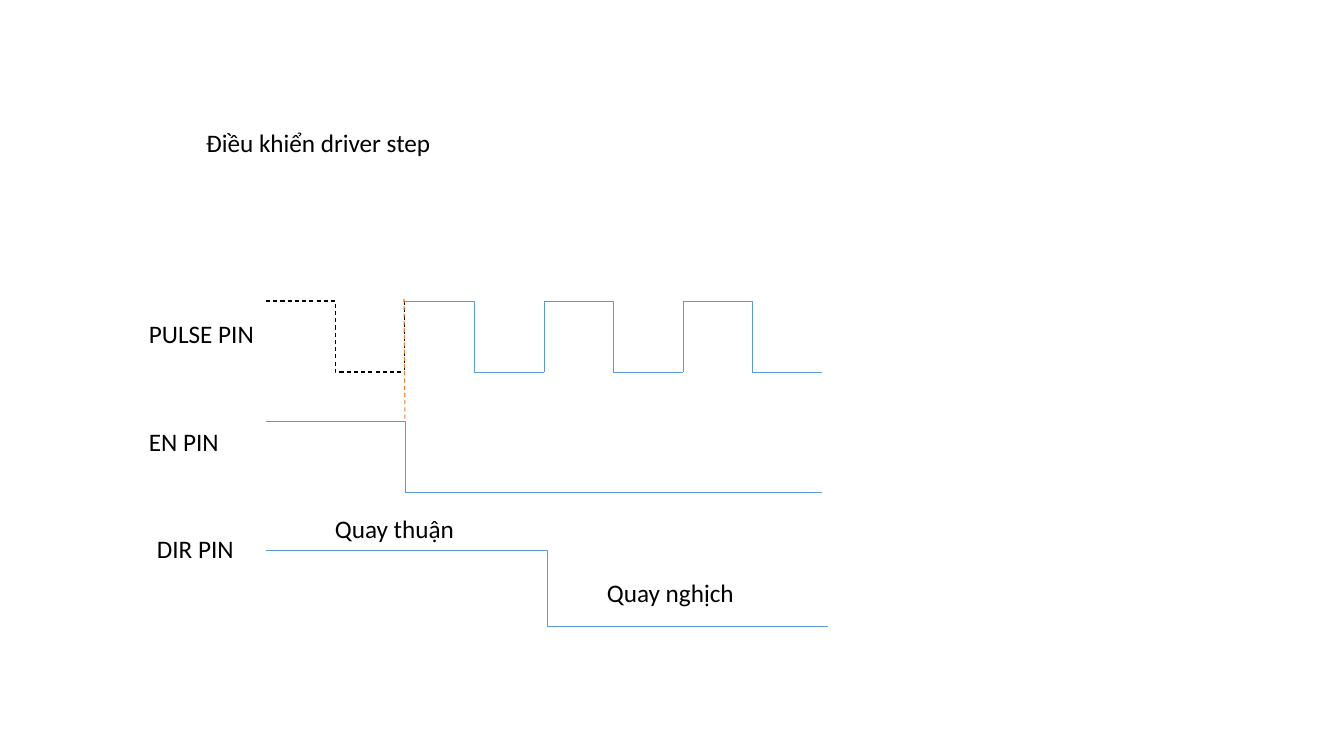
from lxml.etree import SubElement
from pptx import Presentation
from pptx.dml.color import RGBColor
from pptx.enum.dml import MSO_LINE as Dash
from pptx.enum.shapes import MSO_CONNECTOR as Conn
from pptx.enum.text import MSO_ANCHOR as Anchor, MSO_AUTO_SIZE as Fit, PP_ALIGN as Align
from pptx.oxml.ns import qn
from pptx.util import Pt

# Content: text, left, top, width in px
TITLE = ("Điều khiển driver step", 196, 122, 248)
LABELS = [
    ("PULSE PIN", 139, 313, 126),
    ("EN PIN", 139, 421, 91),
    ("DIR PIN", 147, 528, 98),
    ("Quay thuận", 325, 508, 141),
    ("Quay nghịch", 597, 572, 149),
]
TEXT_H = 40
FONT = {"name": "Calibri", "size": Pt(18), "bold": False}
FRAME = {"word_wrap": False, "auto_size": Fit.SHAPE_TO_FIT_TEXT,
         "vertical_anchor": Anchor.TOP}

# Line looks: colour and format values
BLUE = ("5B9BD5", {"width": Pt(0.5)})
IDLE = ("000000", {"width": Pt(0.75), "dash_style": Dash.DASH})
GUIDE = ("ED7D31", {"width": Pt(0.75), "dash_style": Dash.DASH})

# Signal grid in px
LEFT, CYCLE, CYCLES = 266, 139, 4
PULSE, EN, STEP = 301, 421, 71
DIR, DIR_END, DIR_STEP = 550, 828, 76
SCALE = 914400 / 100.8


def px(n):
    return round(n * SCALE)


def rgb(code):
    return RGBColor.from_string(code)


def put(obj, vals):
    for key, val in vals.items():
        setattr(obj, key, val)


def write(box, text, x, y, w):
    put(box, {"left": px(x), "top": px(y), "width": px(w), "height": px(TEXT_H)})
    frame = box.text_frame
    frame.text = text
    put(frame, FRAME)
    para = frame.paragraphs[0]
    put(para, {"alignment": Align.LEFT, "line_spacing": 1.0})
    font = para.runs[0].font
    put(font, FONT)
    font.color.rgb = rgb("000000")


def wire(kind, x1, y1, x2, y2, look):
    line = slide.shapes.add_connector(kind, px(x1), px(y1), px(x2), px(y2))
    code, vals = look
    line.line.color.rgb = rgb(code)
    put(line.line, vals)
    SubElement(line._element.spPr, qn("a:effectLst"))


deck = Presentation()
put(deck, {"slide_width": px(1344), "slide_height": px(756)})
slide = deck.slides.add_slide(deck.slide_layouts[5])

# Title and labels
write(slide.shapes.title, *TITLE)
for text, x, y, w in LABELS:
    write(slide.shapes.add_textbox(0, 0, 0, 0), text, x, y, w)

# Pulse signal: each cycle falls halfway and rises at its end
for i in range(CYCLES):
    x, end = LEFT + i * CYCLE, LEFT + (i + 1) * CYCLE
    look = BLUE if i else IDLE
    wire(Conn.ELBOW, x, PULSE, end, PULSE + STEP, look)
    if i < CYCLES - 1:
        wire(Conn.STRAIGHT, end, PULSE, end, PULSE + STEP, look)

# Enable signal: falls after one cycle
fall, half = LEFT + CYCLE, CYCLE / 2
wire(Conn.STRAIGHT, LEFT, EN, fall, EN, BLUE)
wire(Conn.ELBOW, fall - half, EN, fall + half, EN + STEP, BLUE)
wire(Conn.STRAIGHT, fall + half, EN + STEP, LEFT + CYCLES * CYCLE, EN + STEP, BLUE)

# Guide from pulse to enable, then direction signal
wire(Conn.STRAIGHT, fall - 1, PULSE - 2, fall, EN, GUIDE)
wire(Conn.ELBOW, LEFT, DIR, DIR_END, DIR + DIR_STEP, BLUE)

deck.save("out.pptx")
